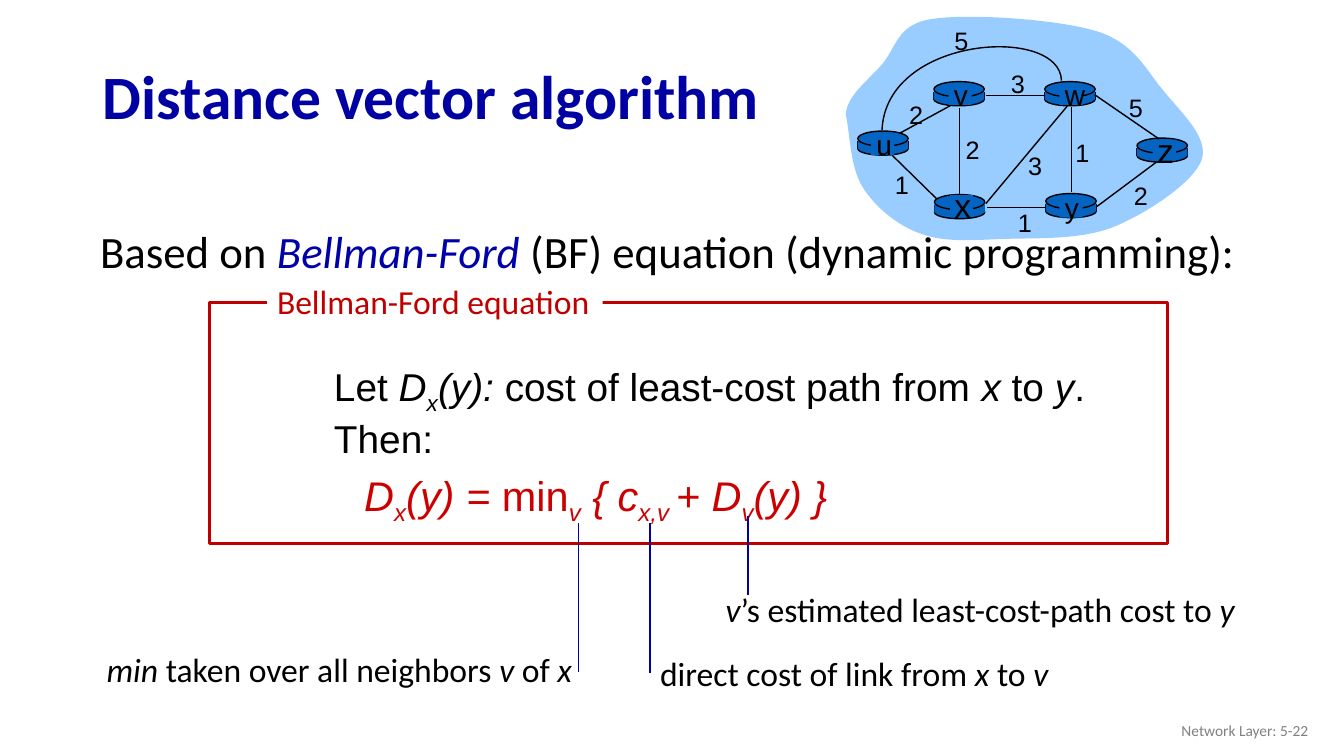
import dataclasses
from typing import NamedTuple

import pptx
import pptx.dml.color
import pptx.enum.shapes
import pptx.enum.text
import pptx.oxml
import pptx.oxml.ns
import pptx.util

CELL = pptx.util.Inches(0.1)
COLUMNS, ROWS = 133.33, 75
SHAPE = pptx.enum.shapes.MSO_SHAPE
ALIGN = pptx.enum.text.PP_ALIGN
ANCHOR = pptx.enum.text.MSO_ANCHOR
FIT = pptx.enum.text.MSO_AUTO_SIZE
BLACK, WHITE, GREY, NAVY = "000000", "FFFFFF", "808080", "0000A8"
RED, EQUATION_RED, ROUTER_BLUE, CLOUD_BLUE = "C00000", "CC0000", "0563C1", "99CCFF"


class Area(NamedTuple):
    column: float
    row: float
    columns: float
    rows: float


class Point(NamedTuple):
    column: float
    row: float


class Line(NamedTuple):
    text: str
    size: float
    ink: str = BLACK
    indent: float = 0


@dataclasses.dataclass
class Router:
    name: str
    corner: Point
    label: Point
    size: int = 20


@dataclasses.dataclass
class Link:
    start: Point
    end: Point
    cost: str
    cost_at: Point


ROUTERS = [
    Router("u", Point(85.1, 13), Point(87.55, 14.2)),
    Router("x", Point(92.7, 19.3), Point(95.4, 20.25), 24),
    Router("v", Point(92.65, 8.1), Point(95.25, 9.2)),
    Router("w", Point(103.65, 8.1), Point(106.25, 9.2)),
    Router("y", Point(103.75, 19.2), Point(106.25, 20.4)),
    Router("z", Point(112.8, 13.7), Point(115.5, 14.75), 24),
]
LINK_BEHIND = Link(Point(89.3, 13.2), Point(94.8, 10.2), "2", Point(90.75, 11.2))
LINKS = [
    Link(Point(106.3, 10.6), Point(106.3, 19), "1", Point(107.25, 15)),
    Link(Point(95.2, 10.7), Point(95.2, 19.4), "2", Point(96.35, 14.7)),
    Link(Point(97.8, 20.2), Point(105.9, 10.5), "3", Point(102.55, 16.25)),
    Link(Point(108.8, 20.5), Point(114.7, 16.1), "2", Point(113.05, 19.25)),
    Link(Point(103.8, 20.6), Point(97.9, 20.6), "1", Point(101.55, 21.95)),
    Link(Point(92.9, 19.7), Point(88.5, 15.4), "1", Point(89.35, 18.15)),
    Link(Point(103.7, 9.5), Point(97.8, 9.5), "3", Point(100.85, 8.15)),
    Link(Point(115, 13.8), Point(108.6, 9.4), "5", Point(112.55, 10.55)),
]
CLOUD = [
    (83.9, 11.4), (84, 9.5), (86, 8.1), (87.4, 6.5), (88.9, 4.9), (88.9, 2.4), (92.4, 1.9),
    (96, 1.3), (104.9, 1.9), (108.8, 3.1), (112.6, 4.3), (113.7, 7), (115.5, 9.1),
    (117.2, 11.2), (120, 13.7), (119.2, 15.9), (118.3, 18.2), (113.7, 21.2), (110.5, 22.5),
    (107.3, 23.8), (103, 23.6), (99.8, 23.7), (96.7, 23.8), (93.8, 24.1), (91.4, 23.2),
    (89, 22.4), (86.8, 20.5), (85.6, 18.6), (84.3, 16.6), (84.3, 12.9), (83.9, 11.4),
]
ARC = [(105.3, 8), (105.2, 2.5), (87.9, 3.5), (87.5, 12.9)]


def cells(count: float) -> int:
    return round(count * CELL)


def colour(code: str):
    return pptx.dml.color.RGBColor.from_string(code)


def paint(shape, fill: str | None = None, line: str | None = None, width: float = 1):
    shape.shadow.inherit = False
    if fill:
        shape.fill.solid()
        shape.fill.fore_color.rgb = colour(fill)
    else:
        shape.fill.background()
    if line:
        shape.line.color.rgb = colour(line)
        shape.line.width = pptx.util.Pt(width)
    else:
        shape.line.fill.background()
    return shape


def draw_shape(page, kind, area: Area, **look):
    return paint(page.shapes.add_shape(kind, *map(cells, area)), **look)


def draw_line(page, start: Point, end: Point, line: str = BLACK):
    straight = pptx.enum.shapes.MSO_CONNECTOR.STRAIGHT
    connector = page.shapes.add_connector(straight, *map(cells, (*start, *end)))
    connector.line.color.rgb = colour(line)
    connector.line.width = pptx.util.Pt(1)
    properties = connector._element.spPr
    properties.append(pptx.oxml.parse_xml(f"<a:effectLst {pptx.oxml.ns.nsdecls('a')}/>"))
    return connector


def draw_curve(page, knots: list, closed: bool = False, **look):
    builder = page.shapes.build_freeform(*map(cells, knots[0]))
    builder.add_line_segments([tuple(map(cells, knot)) for knot in knots[1:]], close=closed)
    shape = builder.convert_to_shape()
    segments = list(shape._element.spPr.iter(pptx.oxml.ns.qn("a:lnTo")))
    for first in range(0, len(segments), 3):
        bend = pptx.oxml.parse_xml(f"<a:cubicBezTo {pptx.oxml.ns.nsdecls('a')}/>")
        segments[first].addprevious(bend)
        for segment in segments[first:first + 3]:
            bend.append(segment[0])
            segment.getparent().remove(segment)
    return paint(shape, **look)


def write(page, area: Area, *lines: Line, font: str = "Calibri",
          italic_ink: str | None = None, bold: bool = False,
          align=ALIGN.LEFT, anchor=ANCHOR.TOP, wrap: bool = False,
          spacing: float = 1, before: float = 0, hanging: float = 0):
    box = page.shapes.add_textbox(*map(cells, area))
    frame = box.text_frame
    frame.word_wrap = wrap
    frame.auto_size = FIT.NONE if wrap else FIT.SHAPE_TO_FIT_TEXT
    frame.vertical_anchor = anchor
    for index, line in enumerate(lines):
        para = frame.paragraphs[0] if index == 0 else frame.add_paragraph()
        para.alignment = align
        para.line_spacing = spacing
        para.space_before = pptx.util.Pt(before)
        properties = para._p.get_or_add_pPr()
        properties.set("marL", str(cells(line.indent)))
        properties.set("indent", str(cells(-hanging)))
        for slant, phrase in enumerate(line.text.split("*")):
            for level, piece in enumerate(phrase.split("_")):
                if not piece:
                    continue
                span = para.add_run()
                span.text = piece
                span.font.name = font
                span.font.size = pptx.util.Pt(line.size)
                span.font.bold = bold
                span.font.italic = slant % 2 == 1
                span.font.color.rgb = colour(italic_ink or line.ink if slant % 2 else line.ink)
                if level % 2:
                    span._r.get_or_add_rPr().set("baseline", "-25000")
    return box


def write_centred(page, centre: Point, text: str, size: float) -> None:
    columns, rows = size / 20 + 2.2, size / 6 + 0.7
    area = Area(centre.column - columns / 2, centre.row - rows / 2, columns, rows)
    write(page, area, Line(text, size), font="Arial", align=ALIGN.CENTER)


def draw_router(page, corner: Point) -> None:
    left, top, width = *corner, 5
    rim = {"fill": ROUTER_BLUE, "line": BLACK}
    draw_shape(page, SHAPE.OVAL, Area(left, top + 1.1, width, 1.3), **rim)
    for side in (left, left + width):
        draw_line(page, Point(side, top + 1), Point(side, top + 1.8))
    draw_shape(page, SHAPE.RECTANGLE, Area(left, top + 1, width, 0.8), fill=ROUTER_BLUE)
    draw_shape(page, SHAPE.OVAL, Area(left, top, width, 1.5), **rim)


def draw_network(page) -> None:
    draw_curve(page, CLOUD, closed=True, fill=CLOUD_BLUE)
    draw_line(page, LINK_BEHIND.start, LINK_BEHIND.end)
    for router in ROUTERS:
        draw_router(page, router.corner)
    for link in LINKS:
        draw_line(page, link.start, link.end)
    draw_curve(page, ARC, line=BLACK)
    for router in ROUTERS:
        patch = Area(router.label.column - 1.15, router.label.row - 0.9, 2.3, 2.1)
        draw_shape(page, SHAPE.RECTANGLE, patch, fill=ROUTER_BLUE)
        write_centred(page, router.label, router.name, router.size)
    for link in (LINK_BEHIND, *LINKS):
        write_centred(page, link.cost_at, link.cost, 18)
    write_centred(page, Point(95.25, 3.85), "5", 18)


def draw_equation(page) -> None:
    write(page, Area(30.7, 36, 87, 21.6),
          Line("Let *D_x_(y): *cost of least-cost path from *x* to *y*.", 27.7, indent=3.9),
          Line("Then:", 27.7, indent=3.9),
          Line("*D_x_(y) = *min*_v_ { c_x,v _+ D_v_(y) }*", 29.6, EQUATION_RED, 6.9),
          font="Arial", wrap=True, spacing=0.8, before=10, hanging=2.45)
    draw_shape(page, SHAPE.RECTANGLE, Area(20.8, 30, 95, 23.9), line=RED, width=2)
    title = Line("Bellman-Ford equation", 24, RED)
    paint(write(page, Area(26.5, 27.4, 33.3, 5), title), fill=WHITE)


def draw_callouts(page) -> None:
    write(page, Area(9.6, 63.9, 48.6, 5), Line("*min* taken over all neighbors* v *of *x*", 24))
    draw_line(page, Point(57.4, 51.9), Point(57.4, 66.7), NAVY)
    write(page, Area(71, 57.9, 53.1, 5), Line("*v*’s estimated least-cost-path cost to *y*", 24))
    draw_line(page, Point(74.2, 59), Point(74.2, 51.2), NAVY)
    link_cost = write(page, Area(64.5, 64.3, 40.8, 5),
                      Line("direct cost of link from* x *to *v*", 24))
    pointer = draw_line(page, Point(64.5, 66.8), Point(64.5, 51.9), NAVY)
    pointer.begin_connect(link_cost, 1)


def main() -> None:
    deck = pptx.Presentation()
    deck.slide_width, deck.slide_height = cells(COLUMNS), cells(ROWS)
    page = deck.slides.add_slide(deck.slide_layouts[6])
    basis = Line("Based on *Bellman-Ford* (BF) equation (dynamic programming):", 32, indent=1.45)
    write(page, Area(7.5, 22.7, 118.3, 5.7), basis, italic_ink=NAVY, wrap=True,
          spacing=0.8, before=10)
    write(page, Area(9.2, 4.95, 115, 9.8), Line("Distance vector algorithm", 44, "0000A3"),
          bold=True, anchor=ANCHOR.MIDDLE, wrap=True, spacing=0.9)
    write(page, Area(100.8, 70.5, 30, 4), Line("Network Layer: 5-22", 11, GREY),
          align=ALIGN.RIGHT, anchor=ANCHOR.MIDDLE, wrap=True)
    draw_equation(page)
    draw_callouts(page)
    draw_network(page)
    deck.save("out.pptx")


if __name__ == "__main__":
    main()
